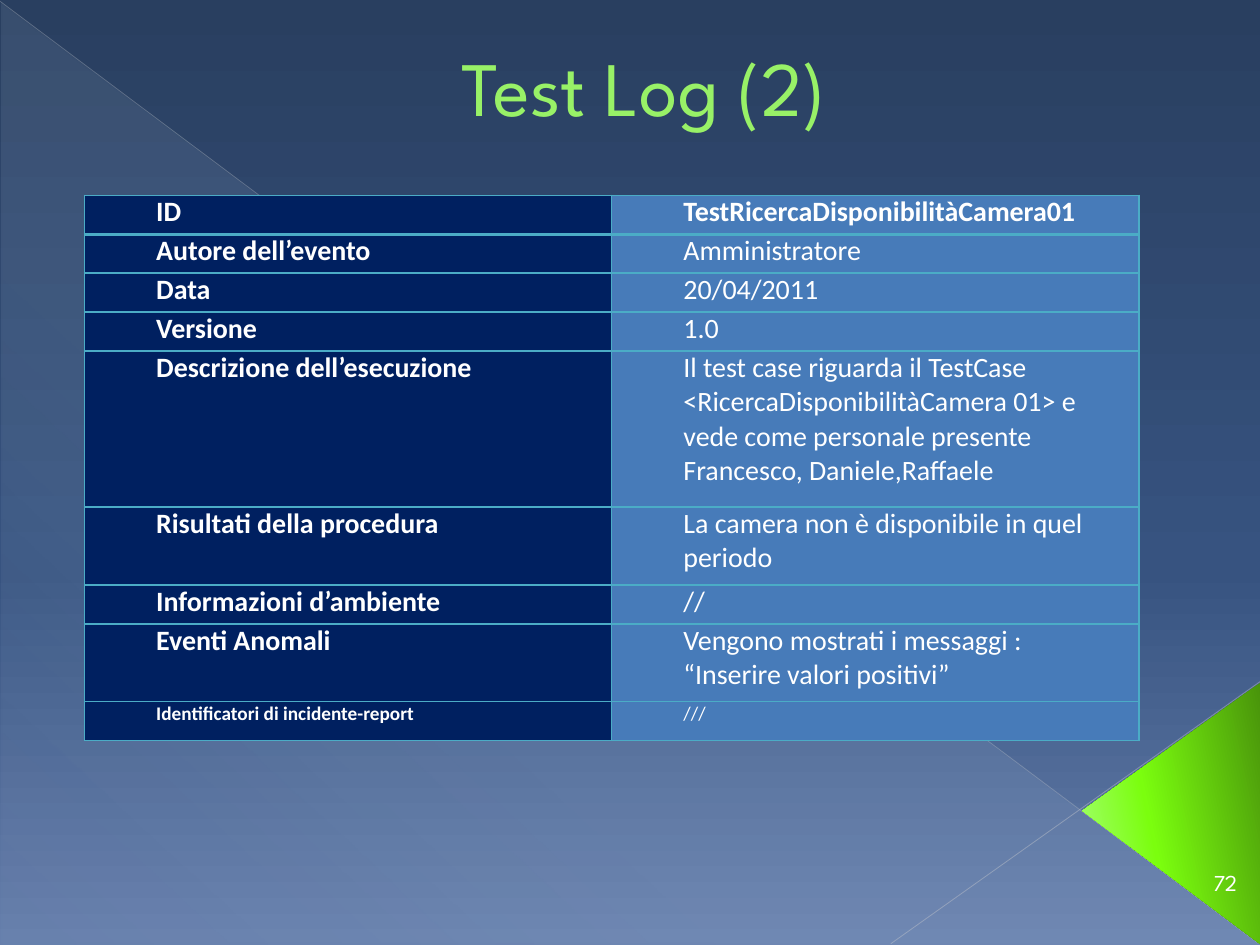
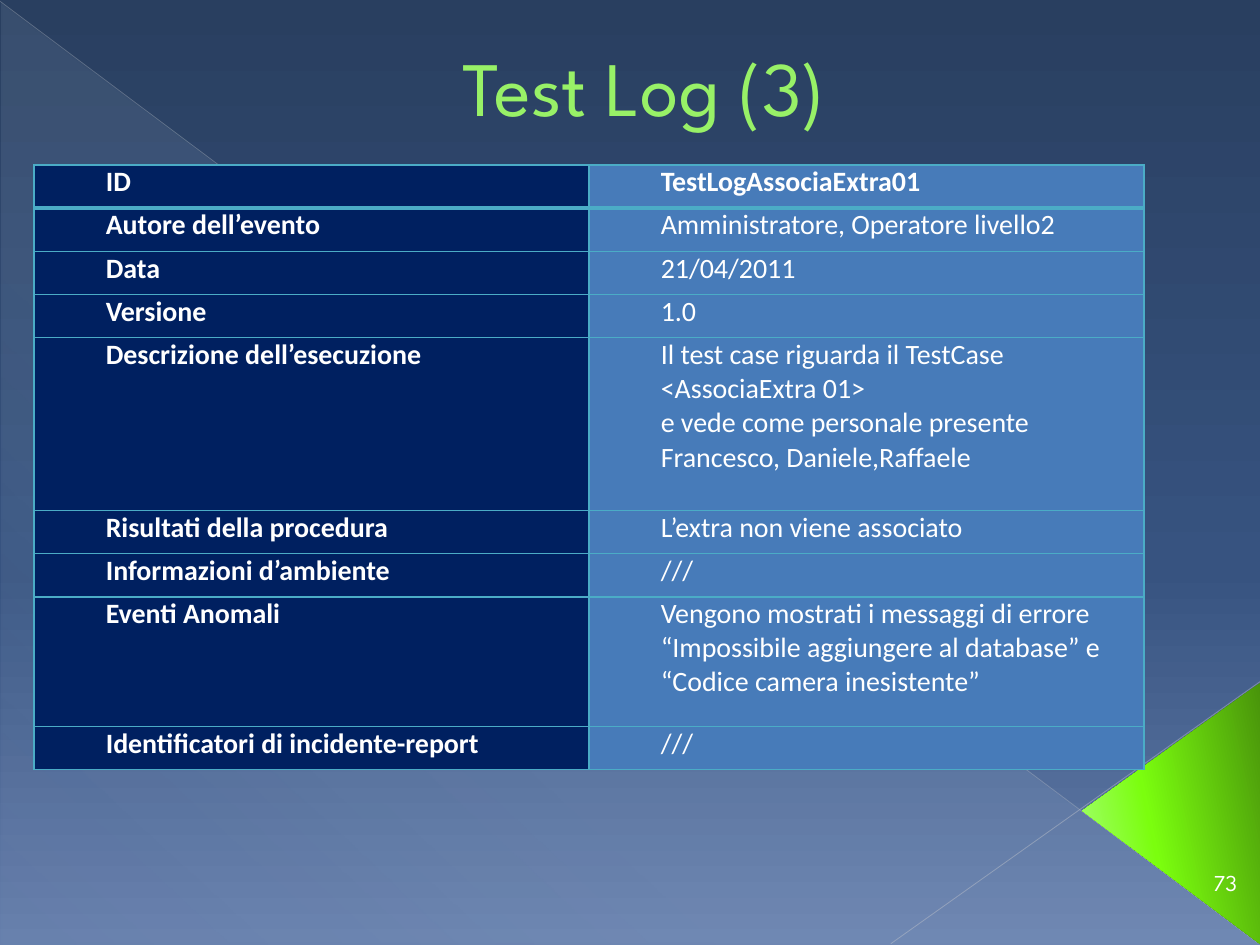
from pptx import Presentation, util as u
from pptx.dml.color import RGBColor
from pptx.enum import shapes, text
from pptx.oxml import parse_xml
from pptx.oxml.ns import nsdecls, qn


class Theme:
    head, body = "League Spartan", "Calibri"
    title, cell, small, num = 44, 16, 11, 13
    lime, moss, white = "98F167", "589129", "FFFFFF"
    navy, blue, rule = "002060", "477BB9", "4BACC6"
    thin, thick = 1, 2.25
    # Stops: position, colour, opacity (all in percent)
    sky = [(0, "293F60", 100), (60, "375380", 100), (100, "667FAC", 100)]
    haze = [(0, "D6ECFF", 10), (70, "D6ECFF", 8), (100, "D6ECFF", 1)]
    leaf = [(0, "49940B", 100), (60, "7BFE0E", 100), (100, "A8FF7D", 100)]


# Start, end, colour, width, opacity
RAYS = [
    ((0, 0.01), (9.99, 7.49), "B7BCC5", 0.39, 35),
    ((10, 5.41), (7.07, 7.49), "BFC3CB", 0.47, 45),
]

LABELS = [
    "ID", "Autore dell’evento", "Data", "Versione",
    "Descrizione dell’esecuzione", "Risultati della procedura",
    "Informazioni d’ambiente", "Eventi Anomali",
    "Identificatori di incidente-report",
]

# units: the height of each row as a multiple of the lowest row
LOGS = [
    dict(
        title="Test Log (2) ", num="72", box=(0.67, 1.55, 8.37, 4.33),
        units=[1, 1, 1, 1, 4, 2, 1, 2, 1], last=Theme.small,
        values=[
            "TestRicercaDisponibilitàCamera01", "Amministratore",
            "20/04/2011", "1.0",
            "Il test case riguarda il TestCase <RicercaDisponibilitàCamera 01>"
            " e vede come personale presente Francesco, Daniele,Raffaele",
            "La camera non è disponibile in quel periodo", "//",
            "Vengono mostrati i messaggi :\v“Inserire valori positivi”", "///",
        ],
    ),
    dict(
        title="Test Log (3) ", num="73", box=(0.27, 1.31, 8.81, 4.8),
        units=[1, 1, 1, 1, 4, 1, 1, 3, 1], last=Theme.cell,
        values=[
            "TestLogAssociaExtra01", "Amministratore, Operatore livello2",
            "21/04/2011", "1.0",
            "Il test case riguarda il TestCase <AssociaExtra 01>\n"
            "e vede come personale presente Francesco, Daniele,Raffaele",
            "L’extra non viene associato", "///",
            "Vengono mostrati i messaggi di errore “Impossibile aggiungere al"
            " database” e “Codice camera inesistente”", "///",
        ],
    ),
]


def inch(*nums):
    return [u.Inches(n) for n in nums]


def rgb(code):
    return RGBColor.from_string(code)


def style(font, size, name, color, bold=False):
    font.size, font.name, font.bold = u.Pt(size), name, bold
    font.color.rgb = rgb(color)


def blend(fill, node, stops, angle):
    """Put a linear gradient, angle clockwise, in place of the fill in node."""
    fill.solid()
    marks = "".join(
        f'<a:gs pos="{pos * 1000}"><a:srgbClr val="{code}">'
        f'<a:alpha val="{part * 1000}"/></a:srgbClr></a:gs>'
        for pos, code, part in stops)
    grad = parse_xml(
        f'<a:gradFill {nsdecls("a")} rotWithShape="1"><a:gsLst>{marks}</a:gsLst>'
        f'<a:lin ang="{angle * 60000}" scaled="0"/></a:gradFill>')
    node.replace(node.find(qn("a:solidFill")), grad)


def wedge(slide, kind, box, stops, angle):
    shape = slide.shapes.add_shape(kind, *inch(*box))
    shape.shadow.inherit = False
    shape.line.fill.background()
    blend(shape.fill, shape.element.spPr, stops, angle)
    return shape


def ray(slide, start, end, color, width, part):
    line = slide.shapes.add_connector(
        shapes.MSO_CONNECTOR.STRAIGHT, *inch(*start, *end))
    line.line.color.rgb = rgb(color)
    line.line.width = u.Pt(width)
    props = line.element.spPr
    tint = next(props.iter(qn("a:srgbClr")))
    tint.append(parse_xml(f'<a:alpha {nsdecls("a")} val="{part * 1000}"/>'))
    props.append(parse_xml(f'<a:effectLst {nsdecls("a")}/>'))


def scene(slide):
    """Draw the background that all slides share."""
    back = slide.background.fill
    back.solid()
    blend(back, slide.element.find(".//" + qn("p:bgPr")), Theme.sky, 90)
    kinds = shapes.MSO_SHAPE
    wedge(slide, kinds.RIGHT_TRIANGLE, (0.01, 0.02, 9.99, 7.48), Theme.haze, 133)
    for item in RAYS:
        ray(slide, *item)
    leaf = wedge(slide, kinds.ISOSCELES_TRIANGLE, (8.26, 5.75, 2.07, 1.41),
                 Theme.leaf, 258)
    leaf.adjustments[0] = 0.51
    leaf.rotation = 270


def label(slide, words, box, anchor):
    frame = slide.shapes.add_textbox(*inch(*box)).text_frame
    frame.word_wrap = True
    frame.vertical_anchor = anchor
    para = frame.paragraphs[0]
    para.text = words
    para.alignment = text.PP_ALIGN.CENTER
    return para


def title(slide, words):
    para = label(slide, words, (0.28, 0, 9.29, 1.1), text.MSO_ANCHOR.BOTTOM)
    para._p.get_or_add_pPr().set("marL", str(u.Inches(0.53)))
    run = para.runs[0]
    style(run.font, Theme.title, Theme.head, Theme.lime)
    run._r.get_or_add_rPr().insert(0, edge("ln", Theme.moss, 0.5))


def edge(tag, color, width):
    return parse_xml(
        f'<a:{tag} {nsdecls("a")} w="{u.Pt(width)}"><a:solidFill>'
        f'<a:srgbClr val="{color}"/></a:solidFill></a:{tag}>')


def fill_cell(cell, words, row, size, fill, bold):
    cell.margin_left = cell.margin_right = u.Inches(0.07)
    cell.margin_top = cell.margin_bottom = 0
    cell.fill.solid()
    cell.fill.fore_color.rgb = rgb(fill)
    cell.text_frame.text = words
    for para in cell.text_frame.paragraphs:
        style(para.font, size, Theme.body, Theme.white, bold)
        para._p.get_or_add_pPr().set("marL", str(u.Inches(0.5)))
    wide = {(0, "lnB"), (1, "lnT")}
    for i, tag in enumerate(("lnL", "lnR", "lnT", "lnB")):
        width = Theme.thick if (row, tag) in wide else Theme.thin
        cell._tc.get_or_add_tcPr().insert(i, edge(tag, Theme.rule, width))


def grid(slide, log):
    box, units = log["box"], log["units"]
    table = slide.shapes.add_table(len(units), 2, *inch(*box)).table
    for col in table.columns:
        col.width = u.Inches(box[2] / 2)
    for i, pair in enumerate(zip(LABELS, log["values"])):
        table.rows[i].height = u.Inches(box[3] * units[i] / sum(units))
        size = log["last"] if i == len(units) - 1 else Theme.cell
        for j, fill in enumerate((Theme.navy, Theme.blue)):
            bold = j == 0 or i == 0
            fill_cell(table.cell(i, j), pair[j], i, size, fill, bold)


def main():
    deck = Presentation()
    deck.slide_width, deck.slide_height = inch(10, 7.5)
    for log in LOGS:
        slide = deck.slides.add_slide(deck.slide_layouts[6])
        scene(slide)
        title(slide, log["title"])
        grid(slide, log)
        num = label(slide, log["num"], (9.45, 6.8, 0.55, 0.4),
                    text.MSO_ANCHOR.MIDDLE)
        style(num.font, Theme.num, Theme.head, Theme.white)
    deck.save("out.pptx")


if __name__ == "__main__":
    main()
